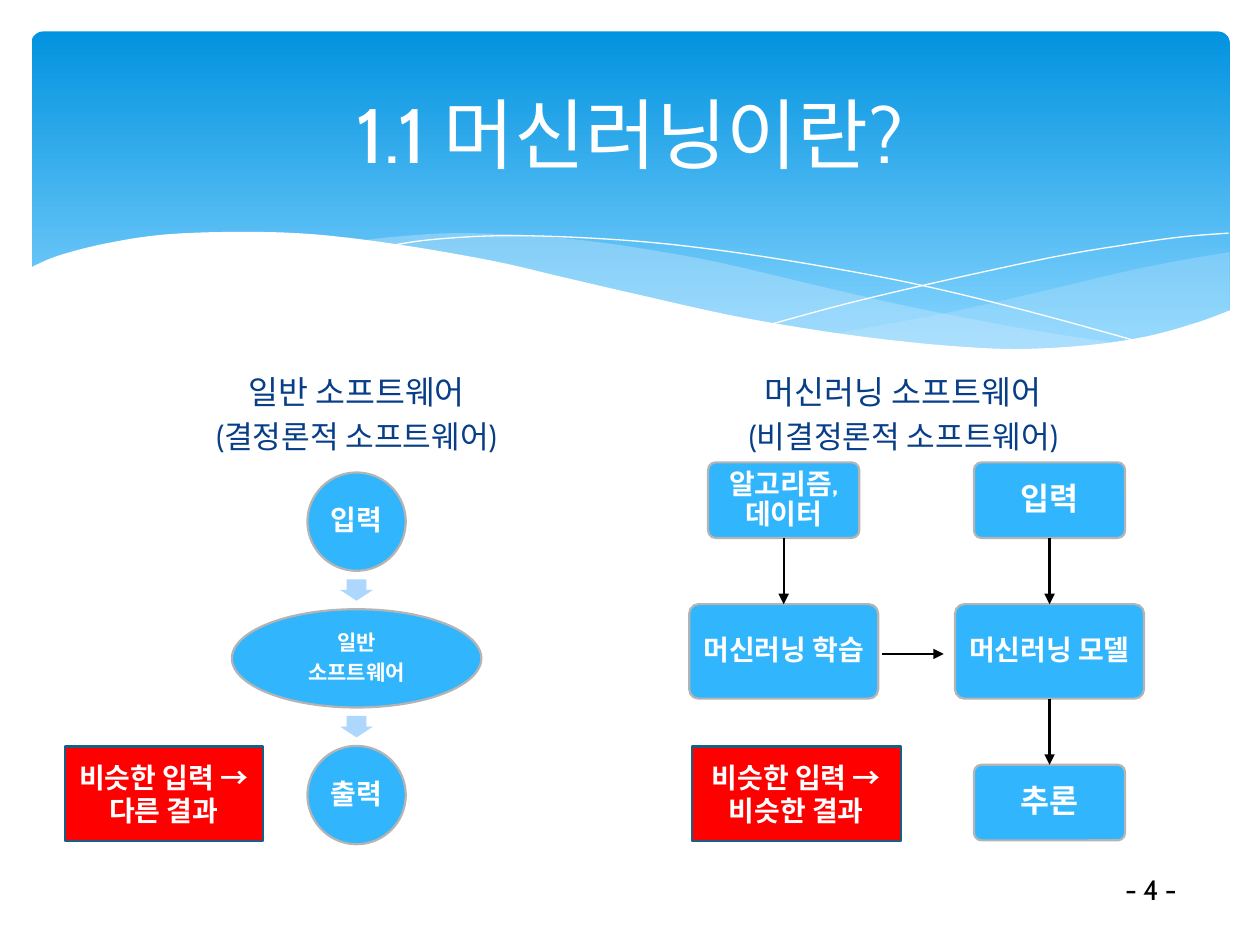
"""Build a slide comparing conventional software with machine learning."""
import lxml.etree
import pptx
import pptx.dml.color
import pptx.enum.shapes
import pptx.enum.text
import pptx.oxml.ns
import pptx.util

WHITE = pptx.dml.color.RGBColor(0xFF, 0xFF, 0xFF)
BLACK = pptx.dml.color.RGBColor(0x00, 0x00, 0x00)
NAVY = pptx.dml.color.RGBColor(0x07, 0x3E, 0x87)
SKY = pptx.dml.color.RGBColor(0x31, 0xB6, 0xFD)
PALE = pptx.dml.color.RGBColor(0xAE, 0xD7, 0xFE)
MIST = pptx.dml.color.RGBColor(0xC6, 0xE7, 0xFC)
GREY = pptx.dml.color.RGBColor(0xB4, 0xB4, 0xB4)
RED = pptx.dml.color.RGBColor(0xFF, 0x00, 0x00)
TEAL = pptx.dml.color.RGBColor(0x19, 0x5F, 0x84)
BAND_TOP = pptx.dml.color.RGBColor(0x02, 0x93, 0xE0)
BAND_BOTTOM = pptx.dml.color.RGBColor(0x83, 0xD3, 0xFE)

KINDS = pptx.enum.shapes.MSO_SHAPE
MIDDLE = pptx.enum.text.MSO_ANCHOR.MIDDLE
CENTER = pptx.enum.text.PP_ALIGN.CENTER
COLUMNS, ROWS = 10, 7.5
CELL = pptx.util.Inches(1)
LEFT_COLUMN = 2.83
RIGHT_COLUMNS = (6.22, 8.33)
LEFT_ROWS = [4.14 + 1.085 * step for step in range(3)]
RIGHT_ROWS = [3.97 + 1.2 * step for step in range(3)]

WHITE_WAVE = [(0.23, 2.13), (0.46, 2.03), (0.85, 1.93), (1.32, 1.86), (1.93, 1.84),
              (2.5, 1.86), (3.16, 1.94), (3.91, 2.07), (4.47, 2.2), (5.03, 2.33),
              (5.79, 2.5), (6.48, 2.62), (7.08, 2.7), (7.61, 2.75), (8.09, 2.77),
              (8.63, 2.74), (9.1, 2.67), (9.5, 2.56), (9.77, 2.46)]
RIGHT_WAVE_TOP = [(9.76, 2), (9.35, 2.07), (8.91, 2.16), (8.32, 2.3), (7.53, 2.48),
                  (6.61, 2.65)]
RIGHT_WAVE_BOTTOM = [(6.61, 2.65), (7.05, 2.71), (7.57, 2.76), (8.03, 2.78),
                     (8.54, 2.76), (8.97, 2.7), (9.35, 2.62), (9.76, 2.47)]
MIDDLE_WAVE_TOP = [(8.93, 2.73), (8.37, 2.65), (7.75, 2.54), (7.06, 2.4), (6.29, 2.22),
                   (5.69, 2.08), (5.14, 1.98), (4.65, 1.91), (4.2, 1.87), (3.61, 1.85),
                   (3.13, 1.88), (2.86, 1.91)]
MIDDLE_WAVE_BOTTOM = [(2.86, 1.91), (3.42, 1.99), (4.04, 2.11), (4.49, 2.22),
                      (5.3, 2.4), (6.01, 2.55), (6.65, 2.66), (7.22, 2.74),
                      (7.73, 2.77), (8.18, 2.78), (8.57, 2.77), (8.93, 2.73)]
FALLING_LINE = [(3.09, 1.95), (3.44, 1.9), (4.01, 1.87), (4.69, 1.89), (5.33, 1.94),
                (6.08, 2.04), (6.95, 2.19), (7.6, 2.33), (8.31, 2.51), (9.07, 2.72)]
RISING_LINE = [(6.13, 2.57), (6.72, 2.41), (7.48, 2.23), (8.36, 2.04), (8.95, 1.94),
               (9.38, 1.88), (9.75, 1.85)]


def grid(*cells):
    """Convert grid cells to lengths."""
    return [pptx.util.Emu(round(cell * CELL)) for cell in cells]


def smooth(points, steps=5):
    """Return a dense curve that passes through the points."""
    curve = [points[0]]
    padded = [points[0], *points, points[-1]]
    for before, start, end, after in zip(padded, padded[1:], padded[2:], padded[3:]):
        for step in range(1, steps + 1):
            t = step / steps
            curve.append(tuple(
                (2 * b + (c - a) * t + (2 * a - 5 * b + 4 * c - d) * t ** 2
                 + (3 * b - a - 3 * c + d) * t ** 3) / 2
                for a, b, c, d in zip(before, start, end, after)))
    return curve


def add_wave(slide, points, color, opacity=100, closed=True):
    """Add a filled wave, or a hairline when it is not closed."""
    start, *others = [grid(*point) for point in points]
    builder = slide.shapes.build_freeform(*start)
    builder.add_line_segments(others, close=closed)
    wave = builder.convert_to_shape()
    wave.shadow.inherit = False
    if closed:
        wave.fill.solid()
        wave.fill.fore_color.rgb = color
        wave.line.fill.background()
        tint = wave.element.spPr.find(".//" + pptx.oxml.ns.qn("a:srgbClr"))
        lxml.etree.SubElement(tint, pptx.oxml.ns.qn("a:alpha"), val=str(opacity * 1000))
    else:
        wave.fill.background()
        wave.line.color.rgb = color
        wave.line.width = pptx.util.Pt(0)


def add_banner(slide):
    """Add the gradient band and the waves across its foot."""
    band = slide.shapes.add_shape(KINDS.ROUNDED_RECTANGLE, *grid(0.25, 0.25, 9.51, 2.7))
    band.adjustments[0] = 0.034
    band.shadow.inherit = False
    band.line.fill.background()
    band.fill.gradient()
    band.fill.gradient_angle = 270
    for stop, position, color in zip(band.fill.gradient_stops, (0, 0.9),
                                     (BAND_TOP, BAND_BOTTOM)):
        stop.position = position
        stop.color.rgb = color
    add_wave(slide, smooth(RIGHT_WAVE_TOP) + smooth(RIGHT_WAVE_BOTTOM), MIST, 29)
    add_wave(slide, smooth(MIDDLE_WAVE_TOP) + smooth(MIDDLE_WAVE_BOTTOM), MIST, 40)
    for line in (FALLING_LINE, RISING_LINE):
        add_wave(slide, smooth(line), WHITE, closed=False)
    add_wave(slide, smooth(WHITE_WAVE) + [(9.77, 3.29), (0.23, 3.29)], WHITE)


def write(shape, lines, sizes, color, bold=False, font="Cabin", spacing=None, after=None):
    """Write centred lines, each a paragraph with its own size."""
    frame = shape.text_frame
    frame.word_wrap = True
    frame.auto_size = pptx.enum.text.MSO_AUTO_SIZE.NONE
    frame.vertical_anchor = MIDDLE
    for index, (line, size) in enumerate(zip(lines, sizes)):
        paragraph = frame.add_paragraph() if index else frame.paragraphs[0]
        paragraph.alignment = CENTER
        if spacing:
            paragraph.line_spacing = spacing
        if after:
            paragraph.space_after = pptx.util.Pt(after)
        run = paragraph.add_run()
        run.text = line
        run.font.name = font
        run.font.size = pptx.util.Pt(size)
        run.font.bold = bold
        run.font.color.rgb = color


def fill_placeholder(placeholder, cells, lines, sizes, color):
    """Move a placeholder to the front, place it and write in it."""
    placeholder.element.getparent().append(placeholder.element)
    placeholder.left, placeholder.top, placeholder.width, placeholder.height = grid(*cells)
    write(placeholder, lines, sizes, color)


def add_block(slide, kind, column, row, width, height, fill=SKY, line=GREY):
    """Add a plain shape centred on a grid point."""
    block = slide.shapes.add_shape(
        kind, *grid(column - width / 2, row - height / 2, width, height))
    block.shadow.inherit = False
    block.fill.solid()
    block.fill.fore_color.rgb = fill
    if line:
        block.line.color.rgb = line
        block.line.width = pptx.util.Pt(1.25)
    else:
        block.line.fill.background()
    return block


def add_node(slide, kind, column, row, width, height, lines, size):
    """Add a labelled step of a flow."""
    node = add_block(slide, kind, column, row, width, height)
    frame = node.text_frame
    inset = 0
    if kind == KINDS.ROUNDED_RECTANGLE:
        node.adjustments[0] = 0.1
        inset = 0.04
    frame.margin_left, frame.margin_top, frame.margin_right, frame.margin_bottom = grid(
        *[inset] * 4)
    write(node, lines, [size] * len(lines), WHITE, True, spacing=0.9,
          after=size * 0.35 if len(lines) > 1 else None)
    return node


def add_arrow(slide, cells, start=None, end=None):
    """Add a thin arrow, joined from a bottom side to a top side if given."""
    arrow = slide.shapes.add_connector(pptx.enum.shapes.MSO_CONNECTOR.STRAIGHT, *grid(*cells))
    if start and end:
        arrow.begin_connect(start, 2)
        arrow.end_connect(end, 0)
    arrow.line.color.rgb = BLACK
    arrow.line.width = pptx.util.Pt(1.25)
    outline = arrow.element.spPr.find(pptx.oxml.ns.qn("a:ln"))
    lxml.etree.SubElement(outline, pptx.oxml.ns.qn("a:tailEnd"), type="triangle")
    lxml.etree.SubElement(arrow.element.spPr, pptx.oxml.ns.qn("a:effectLst"))


def add_software_flow(slide):
    """Add the flow of conventional software."""
    for row, width, lines, size in zip(LEFT_ROWS, (0.78, 1.98, 0.78),
                                       (["입력"], ["일반", "소프트웨어"], ["출력"]),
                                       (16, 12, 16)):
        add_node(slide, KINDS.OVAL, LEFT_COLUMN, row, width, 0.78, lines, size)
    for above, below in zip(LEFT_ROWS, LEFT_ROWS[1:]):
        arrow = add_block(slide, KINDS.DOWN_ARROW, LEFT_COLUMN, (above + below) / 2,
                          0.26, 0.17, PALE, None)
        arrow.adjustments[0], arrow.adjustments[1] = 0.6, 0.5


def add_learning_flow(slide):
    """Add the flow of machine learning."""
    training, model = RIGHT_COLUMNS
    steps = [(training, 0, "알고리즘, 데이터", 16), (training, 1, "머신러닝 학습", 16),
             (model, 0, "입력", 18), (model, 1, "머신러닝 모델", 16), (model, 2, "추론", 18)]
    nodes = {}
    for column, level, label, size in steps:
        width, height = (1.5, 0.75) if level == 1 else (1.2, 0.6)
        nodes[column, level] = add_node(slide, KINDS.ROUNDED_RECTANGLE, column,
                                        RIGHT_ROWS[level], width, height, [label], size)
    for column, level in ((training, 0), (model, 0), (model, 1)):
        add_arrow(slide, (column, RIGHT_ROWS[level], column, RIGHT_ROWS[level + 1]),
                  nodes[column, level], nodes[column, level + 1])
    add_arrow(slide, (7, 5.19, 7.49, 5.19))


def main():
    """Build and save the slide."""
    presentation = pptx.Presentation()
    presentation.slide_width, presentation.slide_height = grid(COLUMNS, ROWS)
    slide = presentation.slides.add_slide(presentation.slide_layouts[4])
    title, left_heading, left_body, right_heading, right_body = slide.placeholders
    for unused in (left_body, right_body):
        unused.element.getparent().remove(unused.element)
    add_banner(slide)
    fill_placeholder(title, (0.5, 0.37, 9, 1.37), ["1.1 머신러닝이란?"], [44], WHITE)
    for heading, column, lines in (
            (left_heading, 0.74, ["일반 소프트웨어", "(결정론적 소프트웨어)"]),
            (right_heading, 5.08, ["머신러닝 소프트웨어", "(비결정론적 소프트웨어)"])):
        fill_placeholder(heading, (column, 2.93, 4.18, 0.7), lines, [18.6, 17.8], NAVY)
    add_software_flow(slide)
    add_learning_flow(slide)
    for column, width, label in ((1.3, 1.57, "비슷한 입력 → 다른 결과"),
                                 (6.32, 1.66, "비슷한 입력 →비슷한 결과")):
        note = add_block(slide, KINDS.RECTANGLE, column, 6.3, width, 0.75, RED, TEAL)
        write(note, [label], [16], WHITE, True, "Arial")
    number = slide.shapes.add_textbox(*grid(8.5, 6.86, 1.27, 0.4))
    write(number, ["- 4 -"], [16], BLACK)
    presentation.save("out.pptx")


if __name__ == "__main__":
    main()
